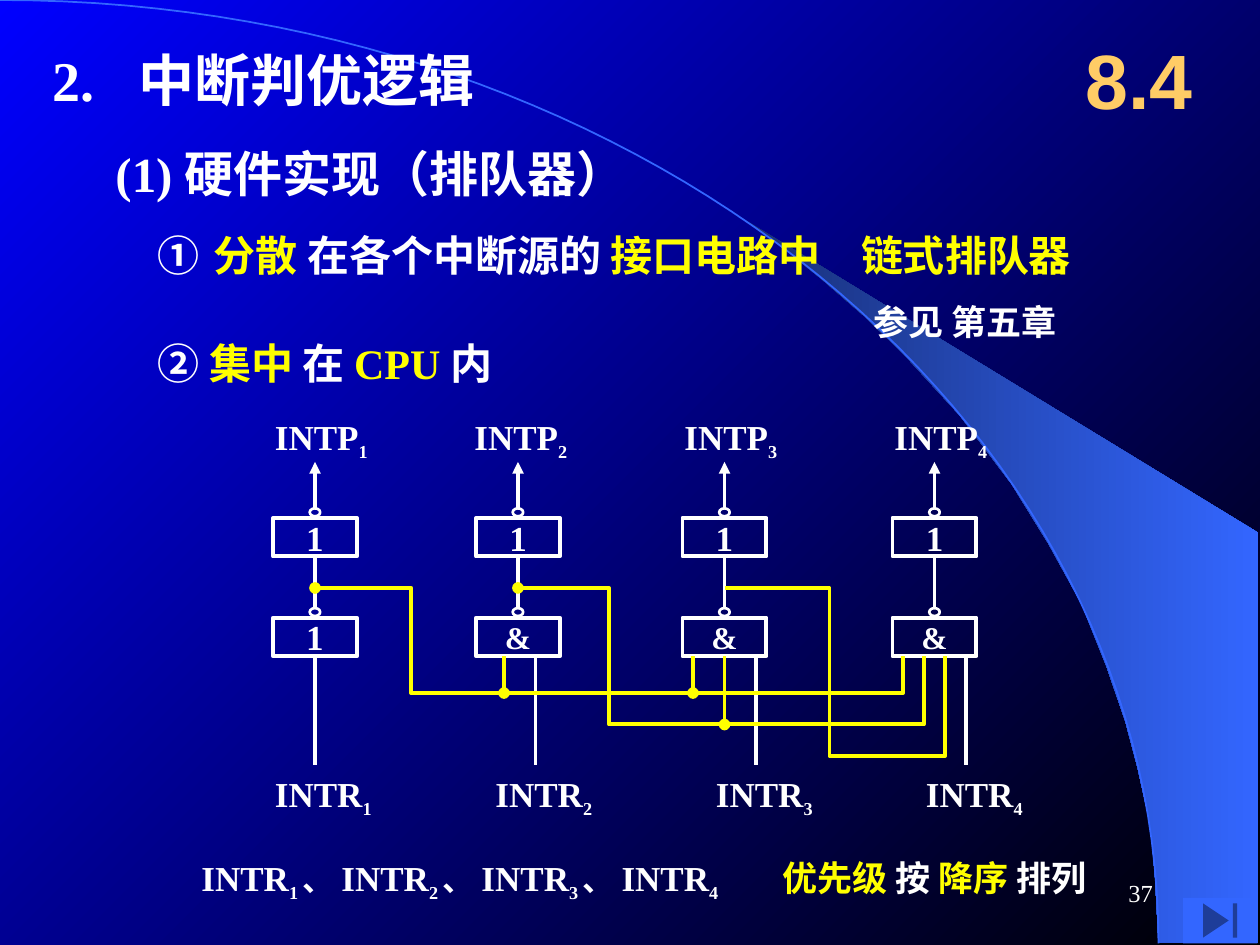
from lxml.etree import SubElement
from pptx import Presentation
from pptx.dml.color import RGBColor as RGB
from pptx.enum.shapes import MSO_CONNECTOR as CON, MSO_SHAPE as SHAPE
from pptx.enum.text import MSO_ANCHOR as ANCHOR, MSO_AUTO_SIZE as AUTO, PP_ALIGN as ALIGN
from pptx.oxml.ns import qn
from pptx.util import Pt

HUE = {"white": "FFFFFF", "yellow": "FFFF00", "gold": "FFCC66", "blue": "3366FF",
       "navy": "182F76", "start": "0000FF", "end": "000000"}
RGBS = {name: RGB.from_string(code) for name, code in HUE.items()}

deck = Presentation()
deck.slide_width, deck.slide_height = Pt(720), Pt(540)
slide = deck.slides.add_slide(deck.slide_layouts[5])
shapes = slide.shapes


def write(box, parts, inset=0, align=ALIGN.LEFT, anchor=ANCHOR.MIDDLE, tab=None,
          font="Times New Roman", bold=True):
    """Fill a box with parts: (words, size, colour, optional baseline)."""
    frame = box.text_frame
    frame.word_wrap, frame.auto_size = True, AUTO.NONE
    frame.vertical_anchor = anchor
    frame.margin_left = frame.margin_right = Pt(inset)
    frame.margin_top = frame.margin_bottom = Pt(3.6 if inset else 0)
    para = frame.paragraphs[0]
    para.alignment = align
    if tab:
        stops = SubElement(para._p.get_or_add_pPr(), qn("a:tabLst"))
        SubElement(stops, qn("a:tab"), pos=str(Pt(tab)), algn="l")
    for words, size, hue, *base in parts:
        run = para.add_run()
        run.text = words
        run.font.name, run.font.size, run.font.bold = font, Pt(size), bold
        run.font.color.rgb = RGBS[hue]
        if base:
            run.font._element.set("baseline", str(base[0]))


def wire(points, hue, width=2.25, head=None, tail=None):
    """Draw a connector for two points, an open outline for more."""
    dots = [(Pt(x), Pt(y)) for x, y in points]
    if len(dots) == 2:
        line = shapes.add_connector(CON.STRAIGHT, *dots[0], *dots[1])
        SubElement(line._element.spPr, qn("a:effectLst"))
    else:
        path = shapes.build_freeform(*dots[0])
        path.add_line_segments(dots[1:], close=False)
        line = path.convert_to_shape()
        line.fill.background()
        line.shadow.inherit = False
    line.line.color.rgb, line.line.width = RGBS[hue], Pt(width)
    for tag, kind in (("a:headEnd", head), ("a:tailEnd", tail)):
        if kind:
            SubElement(line.line._get_or_add_ln(), qn(tag), type=kind)
    return line


# Background
fill = slide.background.fill
fill.gradient()
fill.gradient_angle = 315
for stop, name in zip(fill.gradient_stops, ("start", "end")):
    stop.color.rgb = RGBS[name]

# Blue wedge and the arc along it
rim = [(662, 538.5), (719, 539), (719, 304.5), (424, 124.5), (449, 143), (470, 160),
       (493, 180), (515.5, 201.5), (548.5, 237.5), (578, 276.5), (599, 310.5),
       (618, 345), (632, 380), (643, 412), (650, 438.5), (657.5, 472.5), (660, 501)]
form = shapes.build_freeform(Pt(rim[0][0]), Pt(rim[0][1]))
form.add_line_segments([(Pt(x), Pt(y)) for x, y in rim[1:]])
wedge = form.convert_to_shape()
wedge.shadow.inherit = False
wedge.line.fill.background()
wedge.fill.gradient()
wedge.fill.gradient_angle = 0
for stop, name in zip(wedge.fill.gradient_stops, ("navy", "blue")):
    stop.color.rgb = RGBS[name]
arc = []
for step in range(61):
    t = step / 60
    u = 1 - t
    arc.append((3 * u * u * t * 366 + 3 * u * t * t * 662 + t ** 3 * 662,
                3 * u * t * t * 241 + t ** 3 * 539))
wire(arc, "blue", 1)

# Title, kept in front of the arc
title = shapes.title
title.left, title.top, title.width, title.height = Pt(30), Pt(24), Pt(306), Pt(42)
write(title, [("2.\t中断判优逻辑", 32, "white")], tab=49)
shapes._spTree.append(title._element)

# Headings: left, top, width, tab, parts
heads = [
    (66, 78, 414, None, [("(1) 硬件实现（排队器）", 28, "white")]),
    (90, 120, 594, 402, [("①", 24, "white"), (" ", 36, "white"), ("分散 ", 24, "yellow"),
                         ("在各个中断源的 ", 24, "white"),
                         ("接口电路中\t链式排队器", 24, "yellow")]),
    (90, 186, 414, None, [("② ", 24, "white"), ("集中 ", 24, "yellow"), ("在 ", 24, "white"),
                          ("CPU ", 24, "yellow"), ("内", 24, "white")]),
]
for left, top, width, tab, parts in heads:
    write(shapes.add_textbox(Pt(left), Pt(top), Pt(width), Pt(42)), parts, tab=tab)
note = shapes.add_textbox(Pt(492), Pt(168), Pt(186), Pt(32))
write(note, [("参见 第五章", 20, "white")], 7.2, anchor=ANCHOR.TOP)
mark = shapes.add_textbox(Pt(606), Pt(12), Pt(90), Pt(66))
write(mark, [("8.4", 44, "gold")], 7.2, ALIGN.CENTER, font="Arial")

# Gate columns: centre, input line, INTP label, INTR label
cols = [(180, 180, 150, 150), (296, 306, 264, 276),
        (414, 432, 384, 402), (534, 552, 504, 522)]
gates = []
for num, (mid, feed, out, inp) in enumerate(cols, 1):
    pair = []
    for top, sign in ((296, "1"), (353, "1" if num == 1 else "&")):
        gate = shapes.add_shape(SHAPE.RECTANGLE, Pt(mid - 24), Pt(top), Pt(48), Pt(22))
        ring = shapes.add_shape(SHAPE.OVAL, Pt(mid - 3), Pt(top - 5.5), Pt(6), Pt(4.5))
        for shape, width in ((gate, 2.25), (ring, 1.5)):
            shape.shadow.inherit = False
            shape.fill.background()
            shape.line.color.rgb, shape.line.width = RGBS["white"], Pt(width)
        write(gate, [(sign, 20 if sign == "1" else 18, "white")], align=ALIGN.CENTER)
        pair.append((gate, ring))
    (upper, peak), (lower, ring) = pair
    gates.append(lower)
    arrow = wire([(mid, 290.5), (mid, 264)], "white", tail="triangle")
    arrow.begin_connect(peak, 0)
    link = wire([(mid, 318), (mid, 347.5)], "white")
    link.begin_connect(upper, 2)
    link.end_connect(ring, 0)
    drop = wire([(feed, 375), (feed, 437)], "white")
    if feed == mid:
        drop.begin_connect(lower, 2)
    for name, left, top, width in (("INTP", out, 234, 84), ("INTR", inp, 438, 120)):
        label = shapes.add_textbox(Pt(left), Pt(top), Pt(width), Pt(34))
        write(label, [(name, 20, "white"), (str(num), 18, "white", -25000)], 7.2,
              anchor=ANCHOR.TOP)

# Priority wires: start, turn, level, end, head
for start, turn, level, end, head in ((180, 235, 396, 516, "oval"),
                                      (296, 348, 414, 528, "oval"),
                                      (414, 474, 432, 540, None)):
    wire([(start, 336), (turn, 336), (turn, level), (end, level), (end, 375)],
         "yellow", head=head)
for x, level in ((288, 396), (396, 396), (414, 414)):
    tap = wire([(x, 375), (x, level)], "yellow", tail="oval")
    if x == cols[2][0]:
        tap.begin_connect(gates[2], 2)

# Closing line
parts = []
for num in range(1, 5):
    parts += [("INTR", 20, "white"), (f"{num} " if num < 4 else "4\t", 18, "white", -25000)]
    if num < 4:
        parts.append(("、 ", 18, "white"))
parts += [("优先级 ", 20, "yellow"), ("按 ", 20, "white"),
          ("降序 ", 20, "yellow"), ("排列", 20, "white")]
foot = shapes.add_textbox(Pt(108), Pt(486), Pt(558), Pt(40))
write(foot, parts, 7.2, anchor=ANCHOR.TOP, tab=332)

# Slide number and button
page = shapes.add_textbox(Pt(516), Pt(492), Pt(150), Pt(36))
write(page, [("37", 14, "white")], 7.2, ALIGN.RIGHT, bold=False)
button = shapes.add_shape(SHAPE.ACTION_BUTTON_END, Pt(676), Pt(513), Pt(42.5), Pt(26))
button.shadow.inherit = False
button.fill.solid()
button.fill.fore_color.rgb = RGBS["blue"]
button.line.fill.background()

deck.save("out.pptx")
